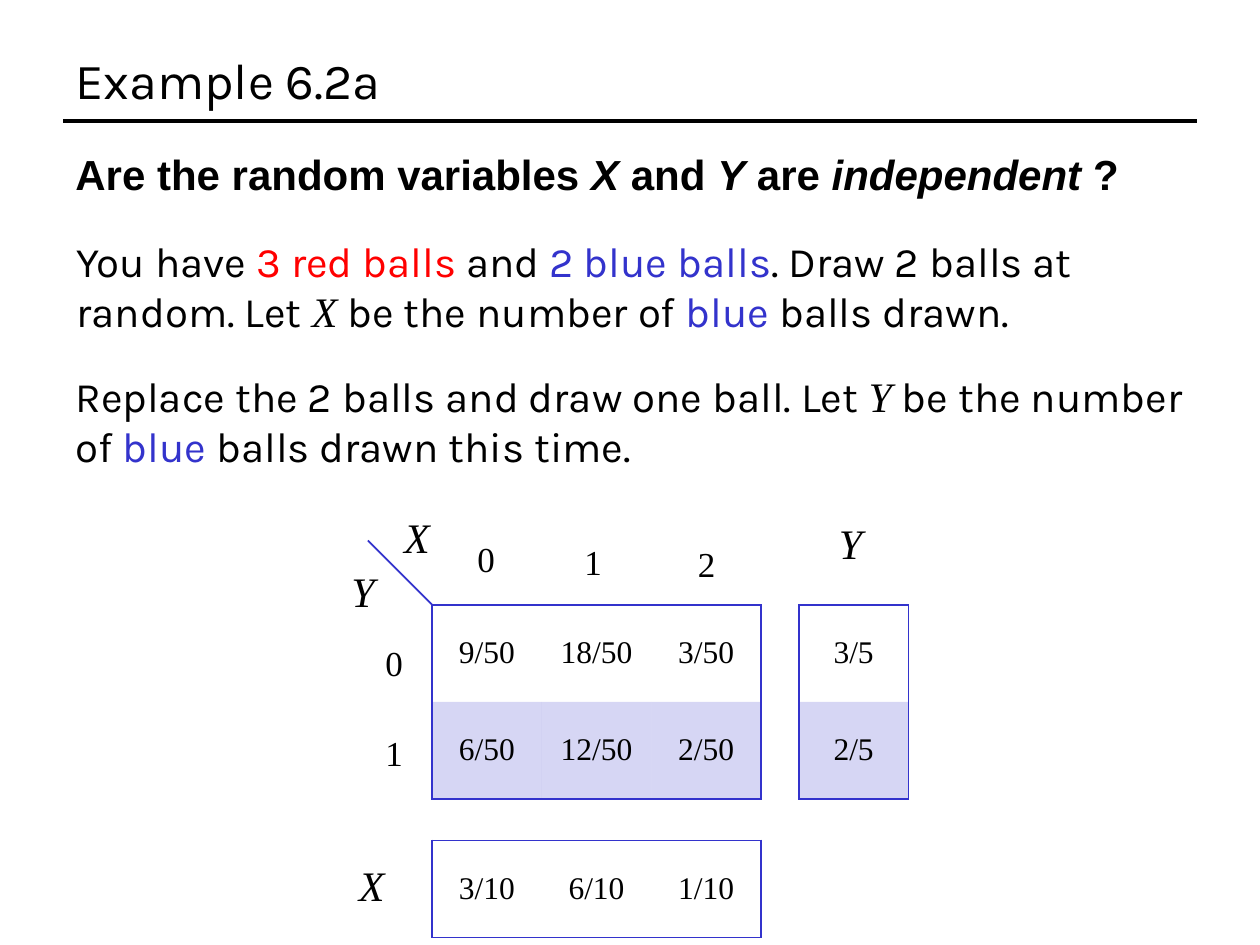
from lxml import etree
from pptx import Presentation
from pptx.dml.color import RGBColor
from pptx.enum.shapes import MSO_CONNECTOR
from pptx.enum.text import MSO_ANCHOR, MSO_AUTO_SIZE, PP_ALIGN
from pptx.oxml.ns import qn
from pptx.util import Inches, Pt

STRAIGHT = MSO_CONNECTOR.STRAIGHT
MIDDLE = MSO_ANCHOR.MIDDLE
NO_FIT, GROW = MSO_AUTO_SIZE.NONE, MSO_AUTO_SIZE.SHAPE_TO_FIT_TEXT
LEFT, CENTER = PP_ALIGN.LEFT, PP_ALIGN.CENTER

COLORS = {"text": "000000", "blue": "3333CC", "red": "FF0000"}
SANS, HEADING, MATH = "Karla", "Arial", "Times New Roman"
COLUMN_WIDTH, ROW_HEIGHT = 0.87, 0.77
GRID_LEFT, GRID_TOP = 3.43, 4.8

VARIABLE = {"font": MATH, "italic": True}
BLUE = {"color": "blue"}
RED = {"color": "red"}


class SlideBuilder:
    def __init__(self, slide):
        self.slide = slide

    def format_run(self, run, size, font=SANS, color="text", bold=False, italic=False):
        run.font.size = Pt(size)
        run.font.name = font
        run.font.bold = bold
        run.font.italic = italic
        run.font.color.rgb = RGBColor.from_string(COLORS[color])

    def title(self, text, left, top, width, height):
        shape = self.slide.shapes.title
        shape.left, shape.top = Inches(left), Inches(top)
        shape.width, shape.height = Inches(width), Inches(height)
        frame = shape.text_frame
        frame.text = text
        frame.auto_size = NO_FIT
        frame.vertical_anchor = MIDDLE
        paragraph = frame.paragraphs[0]
        paragraph.alignment = LEFT
        self.format_run(paragraph.runs[0], 28.8)

    def text(self, pieces, left, top, width, height, size=24, align=LEFT, wrap=True, **base):
        """Add one paragraph from (text, style) pieces; a style overrides the base."""
        shape = self.slide.shapes.add_textbox(
            Inches(left), Inches(top), Inches(width), Inches(height))
        frame = shape.text_frame
        frame.word_wrap = wrap
        frame.auto_size = GROW
        paragraph = frame.paragraphs[0]
        paragraph.alignment = align
        for content, style in pieces:
            run = paragraph.add_run()
            run.text = content
            self.format_run(run, size, **{**base, **style})

    def number(self, text, left, top):
        self.text([(text, {})], left, top, 0.33, 0.44, size=20,
                  align=CENTER, wrap=False, font=MATH)

    def variable(self, name, left, top):
        width = 0.53 if name == "X" else 0.5
        self.text([(name, VARIABLE)], left, top, width, 0.5, wrap=False)

    def line(self, start, end, color, width):
        connector = self.slide.shapes.add_connector(
            STRAIGHT, *(Inches(value) for value in start + end))
        connector.line.color.rgb = RGBColor.from_string(COLORS[color])
        connector.line.width = Pt(width)
        properties = connector._element.spPr
        etree.SubElement(properties, qn("a:effectLst"))

    def cell_border(self, cell, side, visible):
        properties = cell._tc.get_or_add_tcPr()
        border = etree.SubElement(properties, qn(f"a:ln{side}"), w=str(Pt(1)))
        if visible:
            fill = etree.SubElement(border, qn("a:solidFill"))
            etree.SubElement(fill, qn("a:srgbClr"), val=COLORS["blue"])
        else:
            etree.SubElement(border, qn("a:noFill"))

    def table(self, rows, left, top):
        """Add a table with an outer frame only and a tinted second row."""
        row_count, column_count = len(rows), len(rows[0])
        table = self.slide.shapes.add_table(
            row_count, column_count, Inches(left), Inches(top),
            Inches(column_count * COLUMN_WIDTH), Inches(row_count * ROW_HEIGHT)).table
        table.first_row = False
        table.horz_banding = False
        for row_index, row in enumerate(rows):
            for column_index, value in enumerate(row):
                cell = table.cell(row_index, column_index)
                cell.text = value
                cell.vertical_anchor = MIDDLE
                paragraph = cell.text_frame.paragraphs[0]
                paragraph.alignment = CENTER
                self.format_run(paragraph.runs[0], 18, font=MATH)
                self.cell_border(cell, "L", column_index == 0)
                self.cell_border(cell, "R", column_index == column_count - 1)
                self.cell_border(cell, "T", row_index == 0)
                self.cell_border(cell, "B", row_index == row_count - 1)
                if row_index == 1:
                    self.tint(cell)
                else:
                    cell.fill.background()

    def tint(self, cell):
        cell.fill.solid()
        cell.fill.fore_color.rgb = RGBColor.from_string(COLORS["blue"])
        color = cell._tc.tcPr.find(qn("a:solidFill")).find(qn("a:srgbClr"))
        etree.SubElement(color, qn("a:alpha"), val="20000")


def main():
    presentation = Presentation()
    presentation.slide_width, presentation.slide_height = Inches(10), Inches(7.5)
    title_only = presentation.slide_layouts[5]
    builder = SlideBuilder(presentation.slides.add_slide(title_only))

    builder.line((0.5, 0.96), (9.5, 0.96), "text", 2)
    builder.title("Example 6.2a", 0.5, 0.3, 9, 0.66)

    italic = {"italic": True}
    builder.text(
        [("Are the random variables ", {}), ("X", italic), (" and ", {}), ("Y", italic),
         (" are ", {}), ("independent ", italic), ("?", {})],
        0.5, 1.13, 9, 0.66, font=HEADING, bold=True)
    builder.text(
        [("You have ", {}), ("3 red balls ", RED), ("and ", {}), ("2 blue balls", BLUE),
         (". Draw 2 balls at random. Let ", {}), ("X", VARIABLE),
         (" be the number of ", {}), ("blue", BLUE), (" balls drawn.", {})],
        0.51, 1.82, 9, 0.91)
    builder.text(
        [("Replace the 2 balls and draw one ball. Let ", {}), ("Y", VARIABLE),
         (" be the number of ", {}), ("blue", BLUE), (" balls drawn this time.", {})],
        0.5, 2.89, 9, 0.91)

    # Joint distribution with its axis labels
    builder.table([["9/50", "18/50", "3/50"], ["6/50", "12/50", "2/50"]],
                  GRID_LEFT, GRID_TOP)
    builder.line((GRID_LEFT, GRID_TOP), (2.92, 4.29), "blue", 1)
    for text, left, top in [("0", 3.69, 4.22), ("1", 4.54, 4.24), ("2", 5.44, 4.26),
                            ("0", 2.96, 5.04), ("1", 2.96, 5.76)]:
        builder.number(text, left, top)

    # Marginal distributions
    builder.table([["3/5"], ["2/5"]], 6.34, GRID_TOP)
    builder.table([["3/10", "6/10", "1/10"]], GRID_LEFT, 6.67)

    for name, left, top in [("X", 3.11, 4.01), ("Y", 2.69, 4.44),
                            ("X", 2.75, 6.77), ("Y", 6.56, 4.06)]:
        builder.variable(name, left, top)

    presentation.save("out.pptx")


if __name__ == "__main__":
    main()
